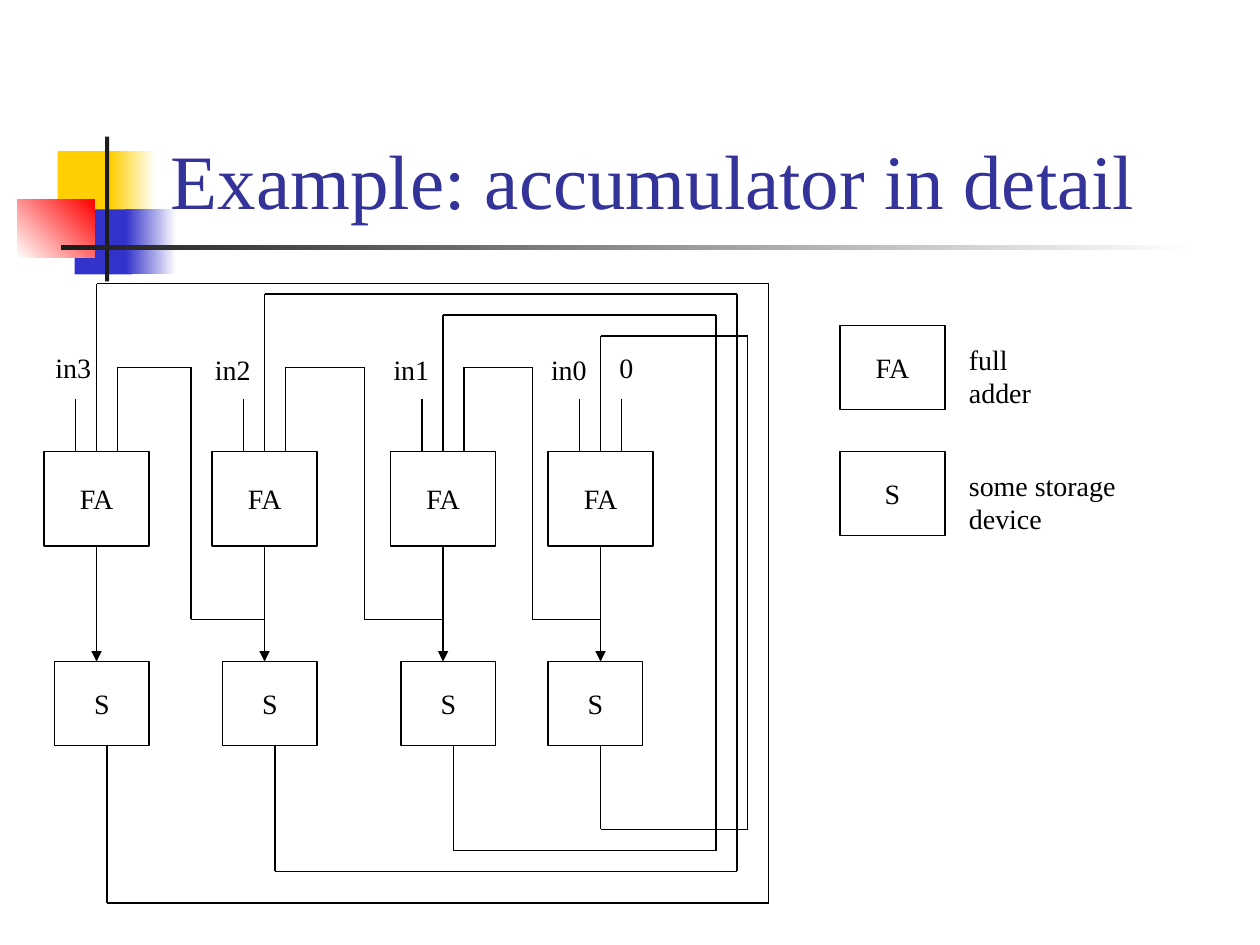
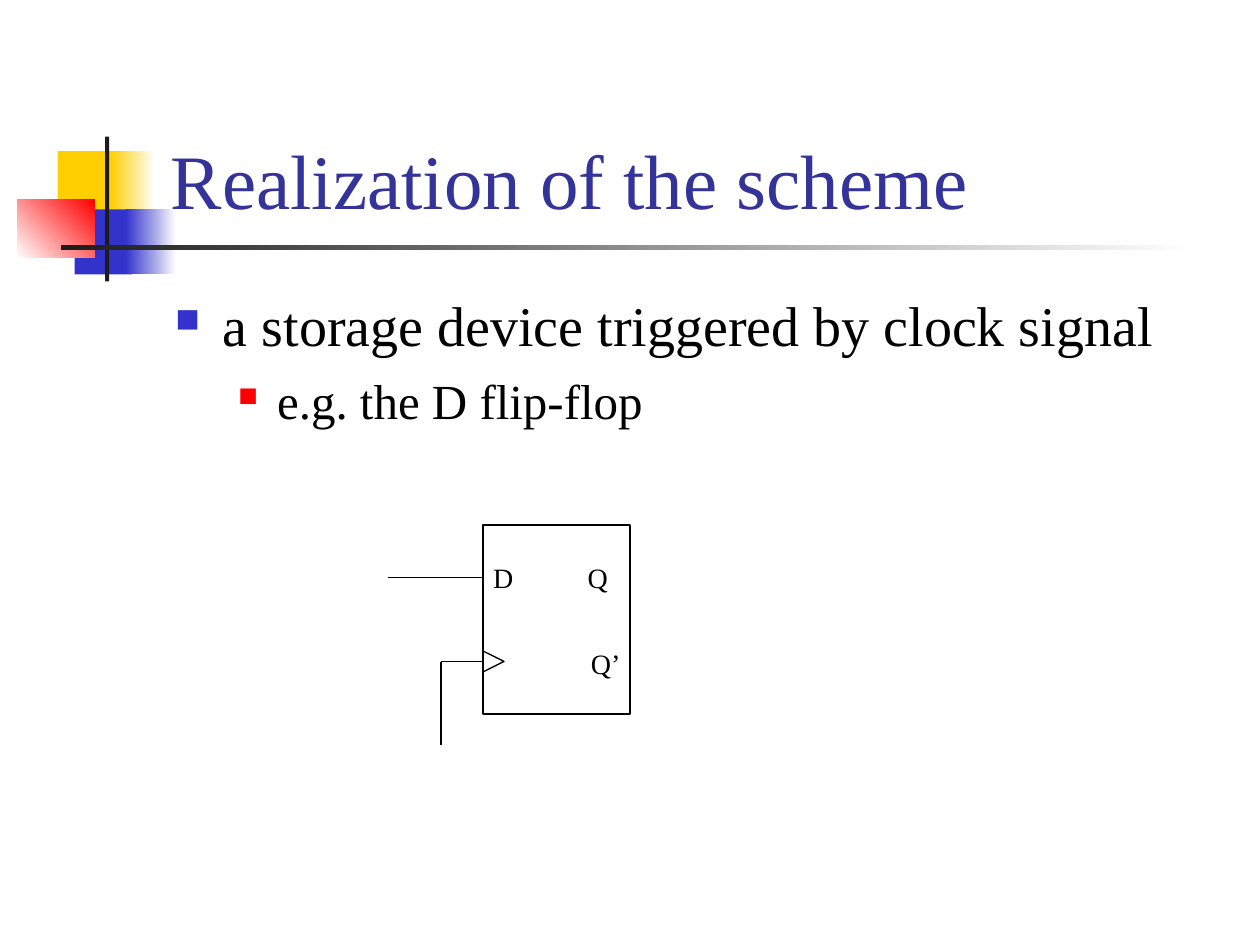
from dataclasses import dataclass
from itertools import pairwise

import lxml.etree
import pptx
import pptx.dml.color
import pptx.enum.shapes
import pptx.enum.text
import pptx.oxml.ns
import pptx.slide
import pptx.util

COLOURS = {
    "ink": "000000",
    "title": "333399",
    "yellow": "FFCF01",
    "blue": "3333CC",
    "red": "FF0000",
    "charcoal": "1C1C1C",
    "paper": "FFFFFF",
}
FONT = "Times New Roman"
SLIDE_WIDTH = pptx.util.Inches(10)
SLIDE_HEIGHT = pptx.util.Inches(7.5)
COLUMNS, ROWS = 120, 90
LABEL_SIZE, LABEL_ROWS = 16, 4.4
LINE_POINTS = 0.75

PIN_TOP, ADDER_TOP, ADDER_BOTTOM = 38, 43, 52
CARRY_TOP, CARRY_BOTTOM = 35, 59
STORE_TOP, STORE_BOTTOM = 63, 71
IN_PIN, SUM_PIN, CARRY_PIN, STORE_PIN = 2.99, 5, 7, 5

PRESETS = pptx.enum.shapes.MSO_SHAPE
ALIGN = pptx.enum.text.PP_ALIGN
ANCHOR = pptx.enum.text.MSO_ANCHOR


@dataclass(frozen=True)
class Area:
    column: float
    row: float
    columns: float
    rows: float

    def emu(self) -> tuple[int, int, int, int]:
        return (across(self.column), down(self.row), across(self.columns), down(self.rows))


@dataclass(frozen=True)
class Ornament:
    area: Area
    start: str
    end: str | None = None
    angle: float = 0


@dataclass(frozen=True)
class Label:
    text: str
    column: float
    row: float
    columns: float


@dataclass(frozen=True)
class Stage:
    adder: float
    store: float
    input: Label
    loop_right: float
    loop_top: float
    loop_bottom: float


@dataclass(frozen=True)
class Bullet:
    text: str
    size: int
    colour: str
    percent: int
    level: int
    margin: float
    hanging: float
    before: int


ORNAMENTS = [
    Ornament(Area(5.5, 14.4, 5.8, 6.2), "yellow"),
    Ornament(Area(10.5, 14.4, 4.3, 6.2), "yellow", "paper"),
    Ornament(Area(7.1, 19.95, 5.5, 6.2), "blue"),
    Ornament(Area(12, 19.95, 4.8, 6.2), "blue", "paper"),
    Ornament(Area(1.65, 19, 7.4, 5.55), "paper", "red", 45),
    Ornament(Area(10, 13, 0.4, 13.8), "charcoal"),
    Ornament(Area(5.8, 23.35, 108, 0.42), "charcoal", "paper"),
]
STAGES = [
    Stage(4.2, 5.2, Label("in3", 4.1, 32.8, 5.8), 73.2, 27, 86),
    Stage(20.2, 21.2, Label("in2", 19.3, 33, 5.8), 70.2, 28, 83),
    Stage(37.2, 38.2, Label("in1", 36.3, 33, 5.8), 68.2, 30, 81),
    Stage(52.2, 52.2, Label("in0", 51.3, 33, 5.8), 71.2, 32, 79),
]
LEGEND = [("FA", "full adder", 31, 12.6), ("S", "some storage device", 43, 23.9)]
BULLETS = [
    Bullet("a storage device triggered by clock signal", 32, "blue", 60, 0, 0.38, 0.38, 0),
    Bullet("e.g. the D flip-flop", 28, "red", 55, 1, 0.81, 0.31, 7),
]
FLIP_FLOP = Area(46, 50, 14, 18)
CLOCK_MARK = Area(46, 62, 2, 2)
FLIP_FLOP_PINS = [
    Label("D", 45.8, 52.8, 4.3),
    Label("Q", 54.8, 52.8, 4.3),
    Label("Q’", 55.1, 61, 5.2),
]
FLIP_FLOP_WIRES = [[(46, 55), (37, 55)], [(46, 63), (42, 63), (42, 71)]]


def across(columns: float) -> int:
    return round(SLIDE_WIDTH * columns / COLUMNS)


def down(rows: float) -> int:
    return round(SLIDE_HEIGHT * rows / ROWS)


def rgb(name: str) -> pptx.dml.color.RGBColor:
    return pptx.dml.color.RGBColor.from_string(COLOURS[name])


def write(paragraph, text: str, size: int = LABEL_SIZE, colour: str = "ink") -> None:
    run = paragraph.add_run()
    run.text = text
    run.font.name = FONT
    run.font.size = pptx.util.Pt(size)
    run.font.color.rgb = rgb(colour)


def add_ornament(slide: pptx.slide.Slide, ornament: Ornament) -> None:
    block = slide.shapes.add_shape(PRESETS.RECTANGLE, *ornament.area.emu())
    block.shadow.inherit = False
    block.line.fill.background()
    if ornament.end is None:
        block.fill.solid()
        block.fill.fore_color.rgb = rgb(ornament.start)
        return
    block.fill.gradient()
    block.fill.gradient_angle = ornament.angle
    for stop, name in zip(block.fill.gradient_stops, (ornament.start, ornament.end)):
        stop.color.rgb = rgb(name)


def add_outline(slide: pptx.slide.Slide, area: Area, text: str = "",
                preset=PRESETS.RECTANGLE, rotation: float = 0) -> None:
    part = slide.shapes.add_shape(preset, *area.emu())
    part.shadow.inherit = False
    part.rotation = rotation
    part.fill.background()
    part.line.color.rgb = rgb("ink")
    part.line.width = pptx.util.Pt(LINE_POINTS)
    if text:
        frame = part.text_frame
        frame.word_wrap = False
        frame.vertical_anchor = ANCHOR.MIDDLE
        frame.paragraphs[0].alignment = ALIGN.CENTER
        write(frame.paragraphs[0], text)


def add_label(slide: pptx.slide.Slide, label: Label) -> None:
    area = Area(label.column, label.row, label.columns, LABEL_ROWS)
    frame = slide.shapes.add_textbox(*area.emu()).text_frame
    frame.word_wrap = False
    write(frame.paragraphs[0], label.text)


def add_wire(slide: pptx.slide.Slide, points: list[tuple[float, float]],
             arrow: bool = False) -> None:
    for (x1, y1), (x2, y2) in pairwise(points):
        wire = slide.shapes.add_connector(
            pptx.enum.shapes.MSO_CONNECTOR.STRAIGHT,
            across(x1), down(y1), across(x2), down(y2))
        wire.line.color.rgb = rgb("ink")
        wire.line.width = pptx.util.Pt(LINE_POINTS)
        if arrow:
            lxml.etree.SubElement(wire.line._ln, pptx.oxml.ns.qn("a:tailEnd"), type="triangle")
        lxml.etree.SubElement(wire._element.spPr, pptx.oxml.ns.qn("a:effectLst"))


def add_bullets(slide: pptx.slide.Slide, area: Area, bullets: list[Bullet]) -> None:
    frame = slide.shapes.add_textbox(*area.emu()).text_frame
    frame.word_wrap = True
    for index, bullet in enumerate(bullets):
        paragraph = frame.add_paragraph() if index else frame.paragraphs[0]
        paragraph.level = bullet.level
        properties = paragraph._p.get_or_add_pPr()
        properties.set("marL", str(pptx.util.Inches(bullet.margin)))
        properties.set("indent", str(-pptx.util.Inches(bullet.hanging)))
        colour = lxml.etree.SubElement(properties, pptx.oxml.ns.qn("a:buClr"))
        lxml.etree.SubElement(colour, pptx.oxml.ns.qn("a:srgbClr"), val=COLOURS[bullet.colour])
        lxml.etree.SubElement(properties, pptx.oxml.ns.qn("a:buSzPct"),
                              val=str(bullet.percent * 1000))
        lxml.etree.SubElement(properties, pptx.oxml.ns.qn("a:buChar"), char="■")
        if bullet.before:
            paragraph.space_before = pptx.util.Pt(bullet.before)
        write(paragraph, bullet.text, bullet.size)


def add_titled_slide(deck, title: str) -> pptx.slide.Slide:
    slide = deck.slides.add_slide(deck.slide_layouts[6])
    for ornament in ORNAMENTS:
        add_ornament(slide, ornament)
    frame = slide.shapes.add_textbox(*Area(15.1, 2.8, 102.2, 19.2).emu()).text_frame
    frame.word_wrap = True
    frame.vertical_anchor = ANCHOR.BOTTOM
    write(frame.paragraphs[0], title, 44, "title")
    return slide


def add_stage(slide: pptx.slide.Slide, stage: Stage) -> None:
    add_outline(slide, Area(stage.adder, ADDER_TOP, 10, ADDER_BOTTOM - ADDER_TOP), "FA")
    add_outline(slide, Area(stage.store, STORE_TOP, 9, STORE_BOTTOM - STORE_TOP), "S")
    add_label(slide, stage.input)
    input_pin, sum_pin = stage.adder + IN_PIN, stage.adder + SUM_PIN
    store_pin = stage.store + STORE_PIN
    add_wire(slide, [(input_pin, PIN_TOP), (input_pin, ADDER_TOP)])
    add_wire(slide, [(sum_pin, ADDER_BOTTOM), (sum_pin, STORE_TOP)], arrow=True)
    add_wire(slide, [
        (store_pin, STORE_BOTTOM), (store_pin, stage.loop_bottom),
        (stage.loop_right, stage.loop_bottom), (stage.loop_right, stage.loop_top),
        (sum_pin, stage.loop_top), (sum_pin, ADDER_TOP)])


def add_carry(slide: pptx.slide.Slide, higher: Stage, lower: Stage) -> None:
    source, target = lower.adder + SUM_PIN, higher.adder + CARRY_PIN
    middle = (source + target) / 2
    add_wire(slide, [
        (source, CARRY_BOTTOM), (middle, CARRY_BOTTOM), (middle, CARRY_TOP),
        (target, CARRY_TOP), (target, ADDER_TOP)])


def build_accumulator(deck) -> None:
    slide = add_titled_slide(deck, "Example: accumulator in detail")
    for stage in STAGES:
        add_stage(slide, stage)
    for higher, lower in pairwise(STAGES):
        add_carry(slide, higher, lower)
    first_carry = STAGES[-1].adder + CARRY_PIN
    add_wire(slide, [(first_carry, PIN_TOP), (first_carry, ADDER_TOP)])
    add_label(slide, Label("0", 57.8, 32.8, 3.7))
    for symbol, meaning, row, columns in LEGEND:
        add_outline(slide, Area(80, row, 10, 8), symbol)
        add_label(slide, Label(meaning, 91.1, row + 1, columns))


def build_realization(deck) -> None:
    slide = add_titled_slide(deck, "Realization of the scheme")
    add_bullets(slide, Area(15.5, 27.1, 102, 15), BULLETS)
    add_outline(slide, FLIP_FLOP)
    add_outline(slide, CLOCK_MARK, preset=PRESETS.ISOSCELES_TRIANGLE, rotation=90)
    for pin in FLIP_FLOP_PINS:
        add_label(slide, pin)
    for wire in FLIP_FLOP_WIRES:
        add_wire(slide, wire)


def main() -> None:
    deck = pptx.Presentation()
    deck.slide_width = SLIDE_WIDTH
    deck.slide_height = SLIDE_HEIGHT
    build_accumulator(deck)
    build_realization(deck)
    deck.save("out.pptx")


if __name__ == "__main__":
    main()
